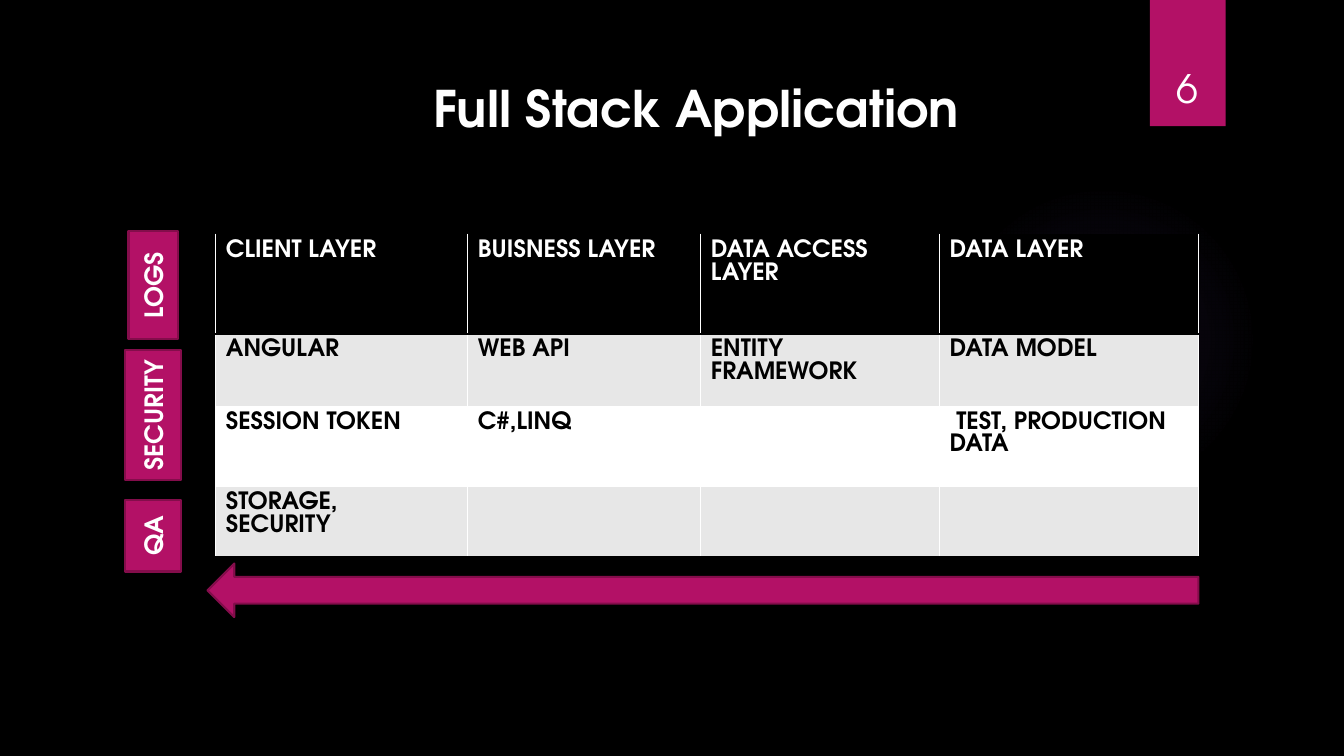
import pptx
import pptx.dml.color
import pptx.enum.shapes
import pptx.enum.text
import pptx.oxml
import pptx.oxml.ns
import pptx.util
from pptx.util import Cm

RGBColor = pptx.dml.color.RGBColor
SHAPE = pptx.enum.shapes.MSO_SHAPE
ALIGN = pptx.enum.text.PP_ALIGN
ANCHOR = pptx.enum.text.MSO_ANCHOR
Pt = pptx.util.Pt

BLACK = RGBColor(0x00, 0x00, 0x00)
WHITE = RGBColor(0xFF, 0xFF, 0xFF)
GREY = RGBColor(0xE7, 0xE7, 0xE7)
MAGENTA = RGBColor(0xB3, 0x11, 0x66)
PLUM = RGBColor(0x84, 0x0D, 0x4B)
VIOLET = RGBColor(0x9B, 0x6B, 0xF2)

DRAWING_NS = pptx.oxml.ns.nsdecls("a")


def apply(target, values):
    for name, value in values.items():
        setattr(target, name, value)


class StackSlide:
    font = "TeX Gyre Adventor"

    def __init__(self, presentation):
        self.slide = presentation.slides.add_slide(presentation.slide_layouts[6])
        background = self.slide.background.fill
        background.solid()
        background.fore_color.rgb = BLACK

    def set_text(self, frame, text, size, color=WHITE, bold=True, **paragraph_format):
        frame.text = text
        for paragraph in frame.paragraphs:
            apply(paragraph, paragraph_format)
            for run in paragraph.runs:
                apply(run.font, {"name": self.font, "size": Pt(size), "bold": bold})
                run.font.color.rgb = color

    def shape(self, kind, left, top, width, height, outlined=True):
        shape = self.slide.shapes.add_shape(
            kind, Cm(left), Cm(top), Cm(width), Cm(height))
        shape.shadow.inherit = False
        shape.fill.solid()
        shape.fill.fore_color.rgb = MAGENTA
        if outlined:
            shape.line.color.rgb = PLUM
            shape.line.width = Pt(1.5)
        else:
            shape.line.fill.background()
        return shape

    def glow(self, left, top, size, stops):
        circle = self.shape(SHAPE.OVAL, left, top, size, size, outlined=False)
        stops_xml = "".join(
            f'<a:gs pos="{place * 1000}"><a:srgbClr val="{VIOLET}">'
            f'<a:alpha val="{opacity * 1000}"/></a:srgbClr></a:gs>'
            for place, opacity in stops)
        gradient = pptx.oxml.parse_xml(
            f'<a:gradFill {DRAWING_NS}><a:gsLst>{stops_xml}</a:gsLst>'
            '<a:path path="circle"><a:fillToRect l="50000" t="50000" '
            'r="50000" b="50000"/></a:path></a:gradFill>')
        properties = circle.element.spPr
        solid = properties.find(pptx.oxml.ns.qn("a:solidFill"))
        properties.replace(solid, gradient)

    def label(self, text, left, top, width, height, size, bold, anchor):
        box = self.slide.shapes.add_textbox(
            Cm(left), Cm(top), Cm(width), Cm(height))
        apply(box.text_frame, {"word_wrap": True, "vertical_anchor": anchor})
        self.set_text(box.text_frame, text, size, bold=bold, alignment=ALIGN.CENTER)

    def upright_tag(self, text, center_x, center_y, length, thickness):
        tag = self.shape(SHAPE.RECTANGLE, center_x - length / 2,
                         center_y - thickness / 2, length, thickness)
        tag.rotation = 270
        apply(tag.text_frame, {"word_wrap": False, "vertical_anchor": ANCHOR.MIDDLE})
        self.set_text(tag.text_frame, text, 18,
                      alignment=ALIGN.CENTER, space_after=Pt(6))

    def border(self, cell, *sides):
        for position, side in enumerate(sides):
            line = pptx.oxml.parse_xml(
                f'<a:{side} {DRAWING_NS} w="{Pt(2)}"><a:solidFill>'
                f'<a:srgbClr val="{BLACK}"/></a:solidFill></a:{side}>')
            cell._tc.get_or_add_tcPr().insert(position, line)

    def table(self, left, top, widths, heights, rows):
        table = self.slide.shapes.add_table(
            len(rows), len(widths), Cm(left), Cm(top),
            Cm(sum(widths)), Cm(sum(heights))).table
        for column, width in zip(table.columns, widths):
            column.width = Cm(width)
        for r, (texts, height) in enumerate(zip(rows, heights)):
            table.rows[r].height = Cm(height)
            for c, text in enumerate(texts):
                cell = table.cell(r, c)
                cell.fill.solid()
                cell.fill.fore_color.rgb = BLACK if r == 0 else GREY if r % 2 else WHITE
                self.set_text(cell.text_frame, text, 17,
                              WHITE if r == 0 else BLACK, line_spacing=Pt(16))
                if r == 0:
                    self.border(cell, "lnT", "lnB")
                elif r == len(rows) - 1:
                    self.border(cell, "lnB")


def main():
    presentation = pptx.Presentation()
    apply(presentation, {"slide_width": Cm(33.87), "slide_height": Cm(19.05)})
    stack = StackSlide(presentation)

    # Backdrop glow and page tab
    stack.glow(23.9, 4.65, 7.82, [(0, 7), (36, 6), (69, 0)])
    stack.shape(SHAPE.RECTANGLE, 28.98, 0, 1.91, 3.18, outlined=False)

    # Application layers
    stack.table(5.44, 5.92, [6.35, 5.87, 6.02, 6.53], [2.49, 1.83, 2.03, 1.78], [
        ["CLIENT LAYER", "BUISNESS LAYER", "DATA ACCESS LAYER", "DATA LAYER"],
        ["ANGULAR", "WEB API", "ENTITY FRAMEWORK", "DATA MODEL"],
        ["SESSION TOKEN", "C#,LINQ", "", " TEST, PRODUCTION DATA"],
        ["STORAGE,\nSECURITY", "", "", ""],
    ])

    # Concerns that span the layers
    for concern, center_y, length, thickness in [
        ("SECURITY", 10.46, 3.28, 1.42),
        ("QA", 13.5, 1.8, 1.42),
        ("LOGS", 7.18, 2.72, 1.24),
    ]:
        stack.upright_tag(concern, 3.86, center_y, length, thickness)

    # Title, flow arrow and page number
    stack.label("Full Stack Application", 5.33, 1.83, 24.43, 1.8, 36, True, ANCHOR.TOP)
    stack.shape(SHAPE.LEFT_ARROW, 5.23, 14.2, 24.97, 1.35)
    stack.label("6", 28.75, 0.81, 2.34, 2.13, 28, False, ANCHOR.BOTTOM)

    presentation.save("out.pptx")


if __name__ == "__main__":
    main()
